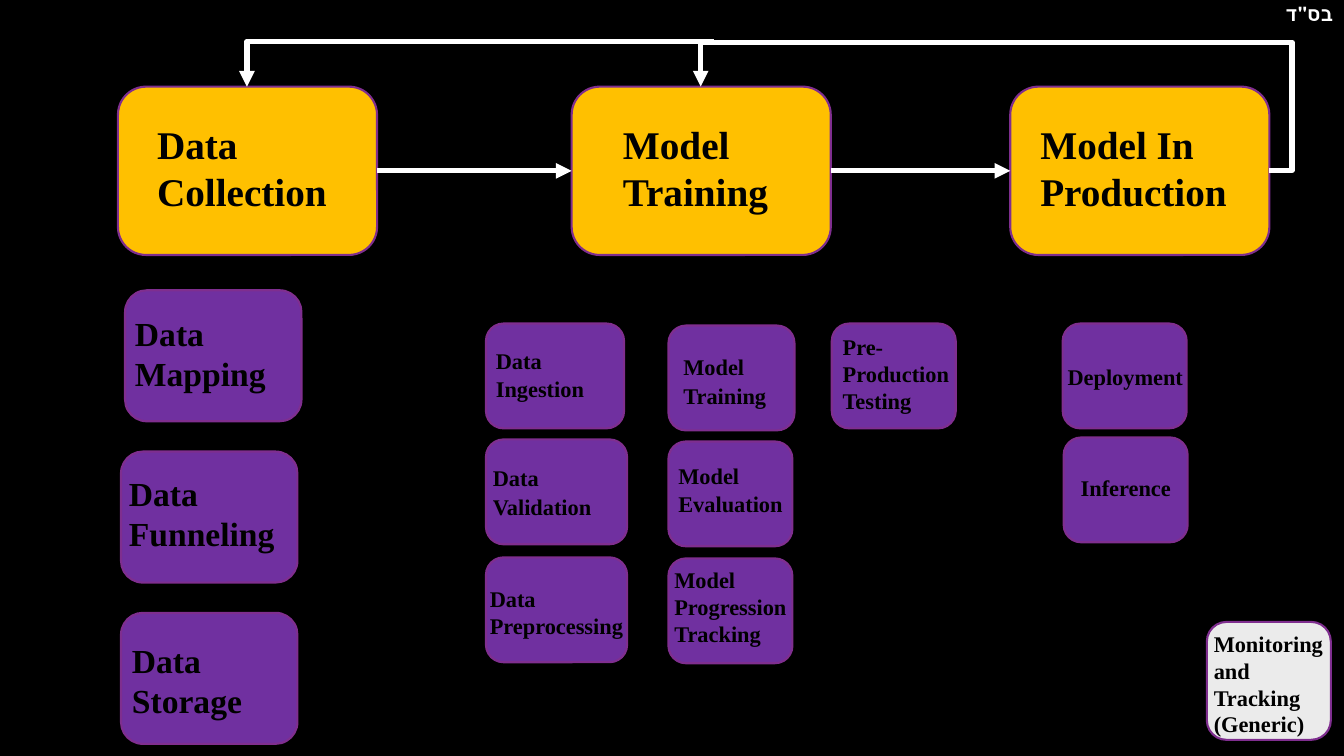
from dataclasses import dataclass

from lxml import etree
from pptx import Presentation
from pptx.dml.color import RGBColor
from pptx.enum.shapes import MSO_CONNECTOR, MSO_SHAPE
from pptx.enum.text import MSO_AUTO_SIZE, PP_ALIGN
from pptx.oxml.ns import qn
from pptx.util import Inches, Pt

ROUNDED = MSO_SHAPE.ROUNDED_RECTANGLE
STRAIGHT = MSO_CONNECTOR.STRAIGHT
ELBOW = MSO_CONNECTOR.ELBOW
GROW = MSO_AUTO_SIZE.SHAPE_TO_FIT_TEXT
CENTER = PP_ALIGN.CENTER
TOP, LEFT, BOTTOM, RIGHT = range(4)


@dataclass(frozen=True)
class Theme:
    background: str = "000000"
    ink: str = "000000"
    white: str = "FFFFFF"
    stage: str = "FFC000"
    task: str = "7030A0"
    generic: str = "EBEBEB"
    outline: str = "7F2E8F"
    font: str = "Times New Roman"
    mark_font: str = "Calibri"
    stage_size: int = 28
    data_size: int = 24
    task_size: int = 16
    mark_size: int = 14
    outline_width: float = 1.5
    arrow_width: float = 3.75


THEME = Theme()

STAGE_TOP, STAGE_WIDTH, STAGE_HEIGHT = 0.86, 2.57, 1.67
STAGES = [
    (1.17, (1.46, 1.14, 1.89, 1.04), ["Data", "Collection"]),
    (5.67, (6.08, 1.14, 1.89, 1.04), ["Model", "Training"]),
    (10.02, (10.22, 1.14, 2.23, 1.04), ["Model In Production"]),
]

DATA_WIDTH, DATA_HEIGHT = 1.75, 1.3
DATA_TASKS = [
    (1.24, 2.88, 1.24, 3.05, "Mapping"),
    (1.2, 4.48, 1.18, 4.64, "Funneling"),
    (1.2, 6.08, 1.21, 6.3, "Storage"),
]

TASK_HEIGHT, LABEL_WIDTH = 1.04, 1.53
CALIBRI_GAP = {"size": Pt(20), "name": THEME.mark_font}
LARGE_GAP = {"size": Pt(24)}
MEDIUM_GAP = {"size": Pt(18)}
TASKS = [
    (4.82, 3.21, 1.37, 4.82, 3.34, 0.71, ["Data Ingestion"], CALIBRI_GAP),
    (4.82, 4.36, 1.4, 4.79, 4.44, 0.77, ["Data Validation"], LARGE_GAP),
    (4.82, 5.53, 1.4, 4.76, 5.76, 0.64, ["Data Preprocessing"], None),
    (6.63, 3.23, 1.25, 6.68, 3.34, 0.77, ["Model Training"], LARGE_GAP),
    (6.63, 4.38, 1.23, 6.63, 4.51, 0.67, ["Model Evaluation"], MEDIUM_GAP),
    (6.63, 5.54, 1.23, 6.59, 5.54, 0.94,
     ["Model ", "Progression", "Tracking"], MEDIUM_GAP),
    (8.25, 3.21, 1.23, 8.26, 3.26, 0.91, ["Pre-Production Testing"], None),
    (10.54, 3.21, 1.23, 10.49, 3.55, 0.37, ["Deployment"], None),
    (10.55, 4.34, 1.23, 10.62, 4.65, 0.37, ["Inference"], None),
]


class SlideBuilder:
    """Adds styled boxes, labels and arrows to one slide."""

    def __init__(self, slide, theme):
        self.slide = slide
        self.theme = theme
        fill = slide.background.fill
        fill.solid()
        fill.fore_color.rgb = RGBColor.from_string(theme.background)

    def box(self, left, top, width, height, color):
        box = self.slide.shapes.add_shape(
            ROUNDED, *map(Inches, (left, top, width, height)))
        box.shadow.inherit = False
        box.fill.solid()
        box.fill.fore_color.rgb = RGBColor.from_string(color)
        box.line.color.rgb = RGBColor.from_string(self.theme.outline)
        box.line.width = Pt(self.theme.outline_width)
        return box

    def span(self, para, text, color, formats):
        span = para.add_run()
        span.text = text
        span.font.color.rgb = RGBColor.from_string(color)
        for name, value in formats.items():
            setattr(span.font, name, value)

    def label(self, place, lines, size, gap=None):
        label = self.slide.shapes.add_textbox(*map(Inches, place))
        frame = label.text_frame
        frame.word_wrap = True
        frame.auto_size = GROW
        base = {"name": self.theme.font, "size": Pt(size), "bold": True}
        for index, line in enumerate(lines):
            para = frame.add_paragraph() if index else frame.paragraphs[0]
            pieces = line.partition(" ") if gap else (line,)
            for piece in filter(None, pieces):
                formats = base | gap if piece == " " else base
                self.span(para, piece, self.theme.ink, formats)

    def mark(self, place, text):
        mark = self.slide.shapes.add_textbox(*map(Inches, place))
        mark.text_frame.word_wrap = True
        para = mark.text_frame.paragraphs[0]
        para.alignment = CENTER
        para.line_spacing = 0.9
        para._p.get_or_add_pPr().set("rtl", "1")
        self.span(para, text, self.theme.white, {
            "name": self.theme.mark_font,
            "size": Pt(self.theme.mark_size),
            "bold": True,
        })

    def arrow(self, kind, start, end):
        arrow = self.slide.shapes.add_connector(
            kind, *map(Inches, (*start, *end)))
        arrow.line.color.rgb = RGBColor.from_string(self.theme.white)
        arrow.line.width = Pt(self.theme.arrow_width)
        etree.SubElement(arrow.line._get_or_add_ln(), qn("a:tailEnd"), type="triangle")
        etree.SubElement(arrow._element.spPr, qn("a:effectLst"))
        return arrow

    def link(self, source, target):
        arrow = self.arrow(STRAIGHT, (0, 0), (1, 1))
        arrow.begin_connect(source, RIGHT)
        arrow.end_connect(target, LEFT)

    def bent_arrow(self, start, end, preset, bends=()):
        arrow = self.arrow(ELBOW, start, end)
        geometry = arrow._element.spPr.find(qn("a:prstGeom"))
        geometry.set("prst", preset)
        guides = geometry.find(qn("a:avLst"))
        if guides is None:
            guides = etree.SubElement(geometry, qn("a:avLst"))
        for number, bend in enumerate(bends, 1):
            etree.SubElement(guides, qn("a:gd"), name=f"adj{number}",
                             fmla=f"val {round(bend * 100000)}")


def main():
    deck = Presentation()
    deck.slide_width, deck.slide_height = Inches(13.33), Inches(7.5)
    page = SlideBuilder(deck.slides.add_slide(deck.slide_layouts[6]), THEME)

    page.mark((12.59, 0, 0.79, 0.36), 'בס"ד')

    stages = []
    for left, place, lines in STAGES:
        stages.append(page.box(left, STAGE_TOP, STAGE_WIDTH, STAGE_HEIGHT, THEME.stage))
        page.label(place, lines, THEME.stage_size)

    for left, top, label_left, label_top, name in DATA_TASKS:
        page.box(left, top, DATA_WIDTH, DATA_HEIGHT, THEME.task)
        page.label((label_left, label_top, 1.89, 0.91), ["Data", name], THEME.data_size)

    for left, top, width, label_left, label_top, height, lines, gap in TASKS:
        page.box(left, top, width, TASK_HEIGHT, THEME.task)
        page.label((label_left, label_top, LABEL_WIDTH, height), lines,
                   THEME.task_size, gap)

    page.box(11.97, 6.17, 1.23, 1.17, THEME.generic)
    page.label((11.94, 6.2, LABEL_WIDTH, 1.18),
               ["Monitoring and", "Tracking", "(Generic)"], THEME.task_size)

    for source, target in zip(stages, stages[1:]):
        page.link(source, target)
    page.bent_arrow((12.59, 1.69), (6.95, STAGE_TOP), "bentConnector4", (-0.04, 1.53))
    page.bent_arrow((7.08, 0.41), (2.45, STAGE_TOP), "bentConnector2")

    deck.save("out.pptx")


if __name__ == "__main__":
    main()
